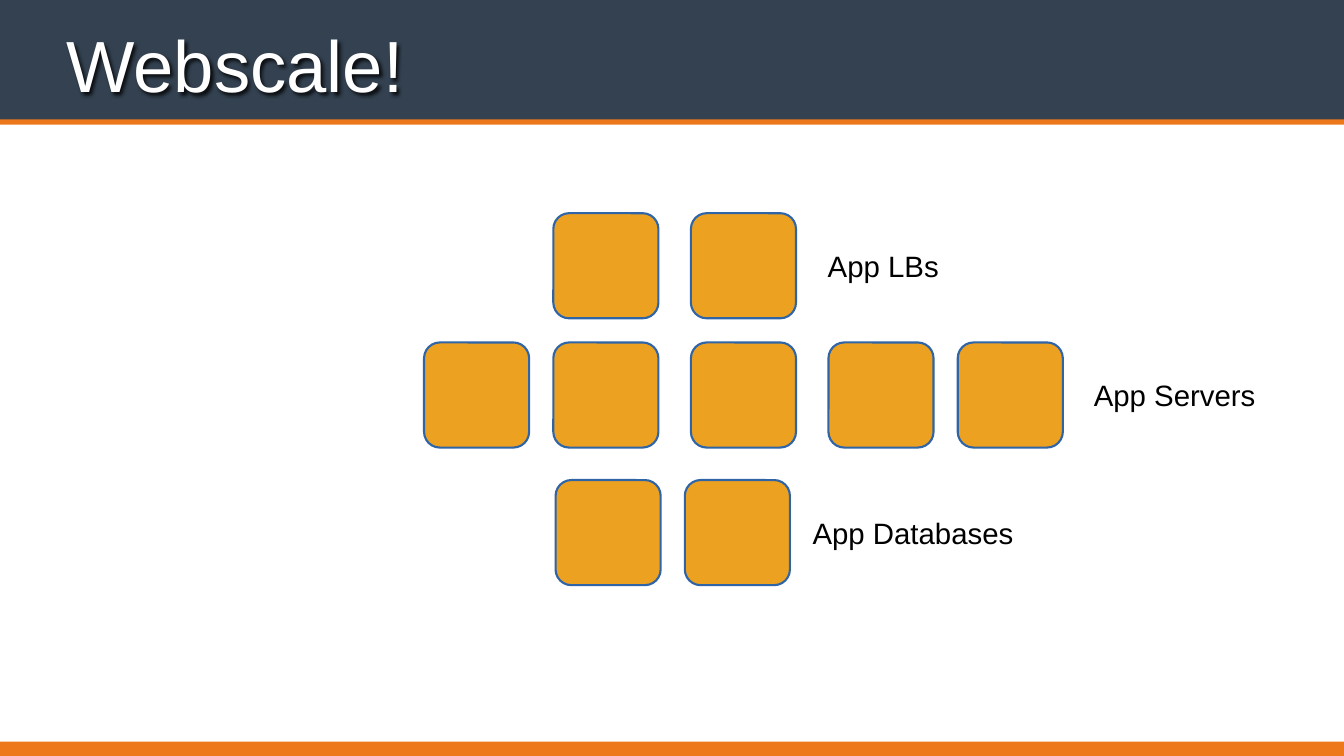
from dataclasses import dataclass

from lxml import etree
from pptx import Presentation
from pptx.dml.color import RGBColor
from pptx.enum.shapes import MSO_SHAPE as Shape
from pptx.enum.text import MSO_ANCHOR as Anchor, MSO_AUTO_SIZE as AutoSize, PP_ALIGN as Align
from pptx.util import Inches, Pt

TITLE = "Webscale!"
# label, label left, top of row, left of each box
TIERS = [
    ("App LBs", 10.95, 2.82, [7.32, 9.14]),
    ("App Servers", 14.47, 4.53, [5.61, 7.32, 9.14, 10.96, 12.67]),
    ("App Databases", 10.75, 6.35, [7.35, 9.06]),
]
LABEL_WIDTHS = {"App LBs": 1.48, "App Servers": 2.15, "App Databases": 2.67}
SLIDE_W, SLIDE_H = 17.78, 10
BOX, LABEL_H = 1.39, 0.43


@dataclass(frozen=True)
class Theme:
    font: str = "Arial"
    title_size: int = 69
    label_size: int = 28
    navy: str = "334150"
    orange: str = "ED781C"
    amber: str = "EDA120"
    blue: str = "2F65A7"
    white: str = "FFFFFF"
    black: str = "000000"


THEME = Theme()
BANDS = [(-0.14, 1.78, THEME.navy), (1.58, 0.07, THEME.orange), (9.81, 0.25, THEME.orange)]

TITLE_SHADOW = """<a:effectLst xmlns:a="http://schemas.openxmlformats.org/drawingml/2006/main">
<a:outerShdw blurRad="38100" dist="38100" dir="2700000" algn="tl" rotWithShape="0">
<a:srgbClr val="000000"><a:alpha val="80000"/></a:srgbClr></a:outerShdw></a:effectLst>"""


def add_block(s, kind, left, top, width, height, fill, line=None):
    sp = s.shapes.add_shape(kind, *map(Inches, (left, top, width, height)))
    sp.shadow.inherit = False
    sp.fill.solid()
    sp.fill.fore_color.rgb = RGBColor.from_string(fill)
    if line:
        sp.line.color.rgb = RGBColor.from_string(line)
        sp.line.width = Pt(2)
    else:
        sp.line.fill.background()
    return sp


def set_text(sp, text, *, size, color, anchor=Anchor.MIDDLE, wrap=False):
    tf = sp.text_frame
    tf.margin_left = tf.margin_top = tf.margin_right = tf.margin_bottom = 0
    tf.vertical_anchor = anchor
    tf.word_wrap = wrap
    tf.auto_size = AutoSize.NONE if wrap else AutoSize.SHAPE_TO_FIT_TEXT
    p = tf.paragraphs[0]
    p.alignment = Align.LEFT
    r = p.add_run()
    r.text = text
    r.font.name = THEME.font
    r.font.size = Pt(size)
    r.font.color.rgb = RGBColor.from_string(color)


def add_title(s):
    sp = s.shapes.title
    sp.left, sp.top, sp.width, sp.height = map(Inches, (0.88, 0.19, 16.03, 1.22))
    set_text(sp, TITLE, size=THEME.title_size, color=THEME.white,
             anchor=Anchor.BOTTOM, wrap=True)
    sp.element.spPr.append(etree.fromstring(TITLE_SHADOW))
    s.shapes.element.append(sp.element)  # in front of the header band


def add_tier(s, label, label_left, top, lefts):
    for left in lefts:
        box = add_block(s, Shape.ROUNDED_RECTANGLE, left, top, BOX, BOX,
                        THEME.amber, THEME.blue)
        box.adjustments[0] = 0.15
    label_top = top + (BOX - LABEL_H) / 2
    sp = s.shapes.add_textbox(*map(Inches, (label_left, label_top, LABEL_WIDTHS[label], LABEL_H)))
    set_text(sp, label, size=THEME.label_size, color=THEME.black)


def main():
    prs = Presentation()
    prs.slide_width, prs.slide_height = Inches(SLIDE_W), Inches(SLIDE_H)
    s = prs.slides.add_slide(prs.slide_layouts[5])
    for top, height, fill in BANDS:
        add_block(s, Shape.RECTANGLE, 0, top, SLIDE_W, height, fill)
    for tier in TIERS:
        add_tier(s, *tier)
    add_title(s)
    prs.save("out.pptx")


if __name__ == "__main__":
    main()
